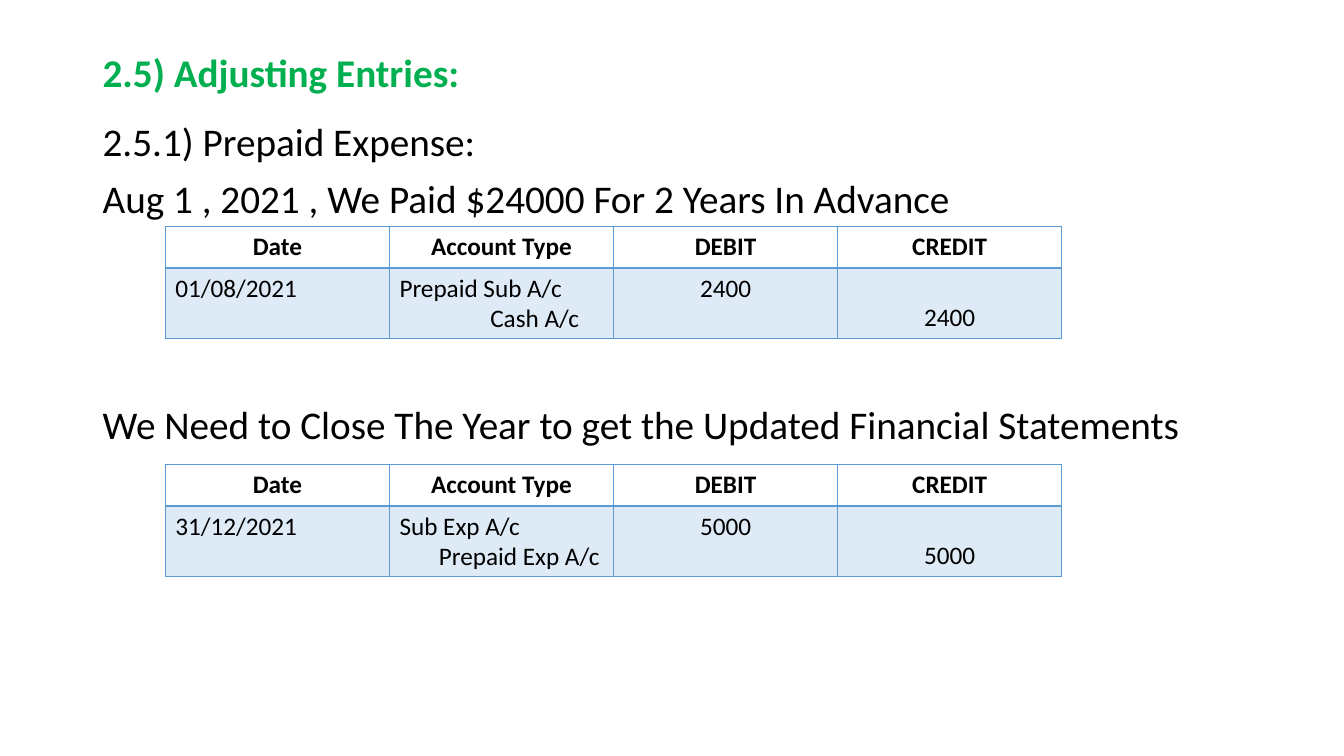
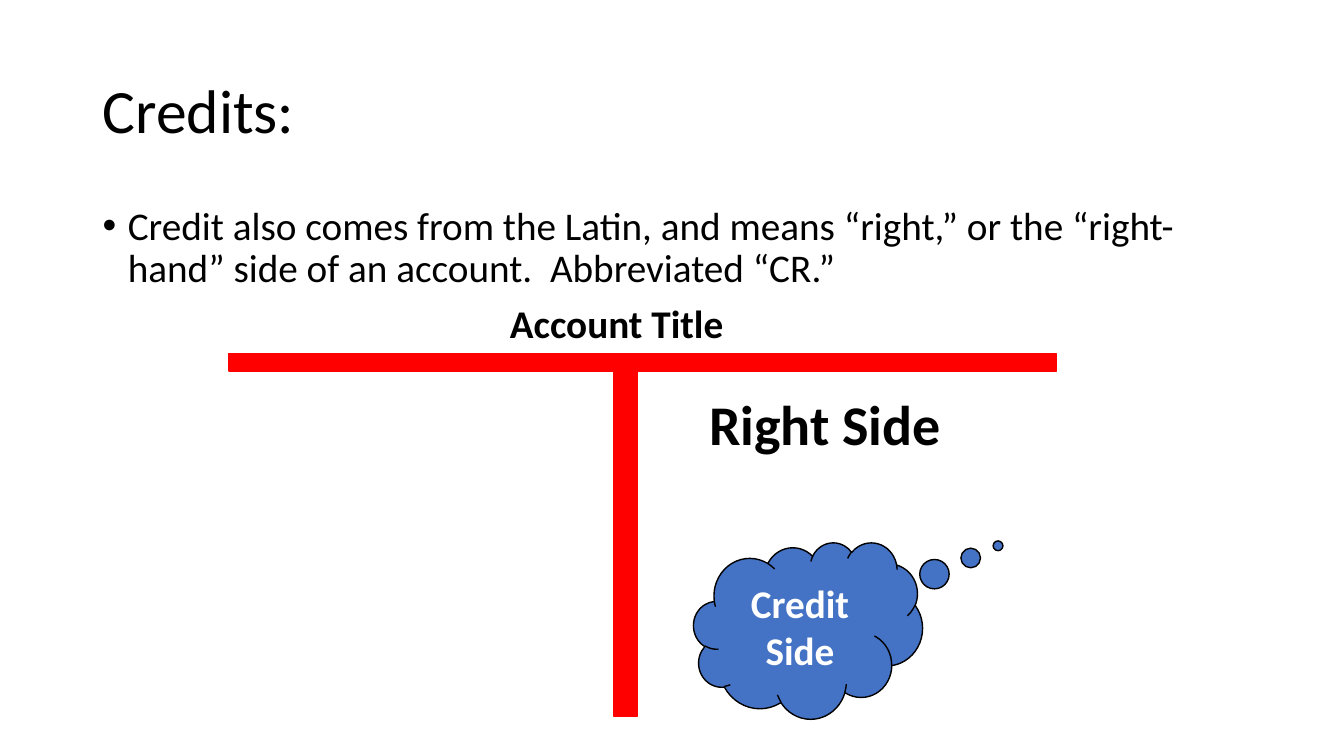
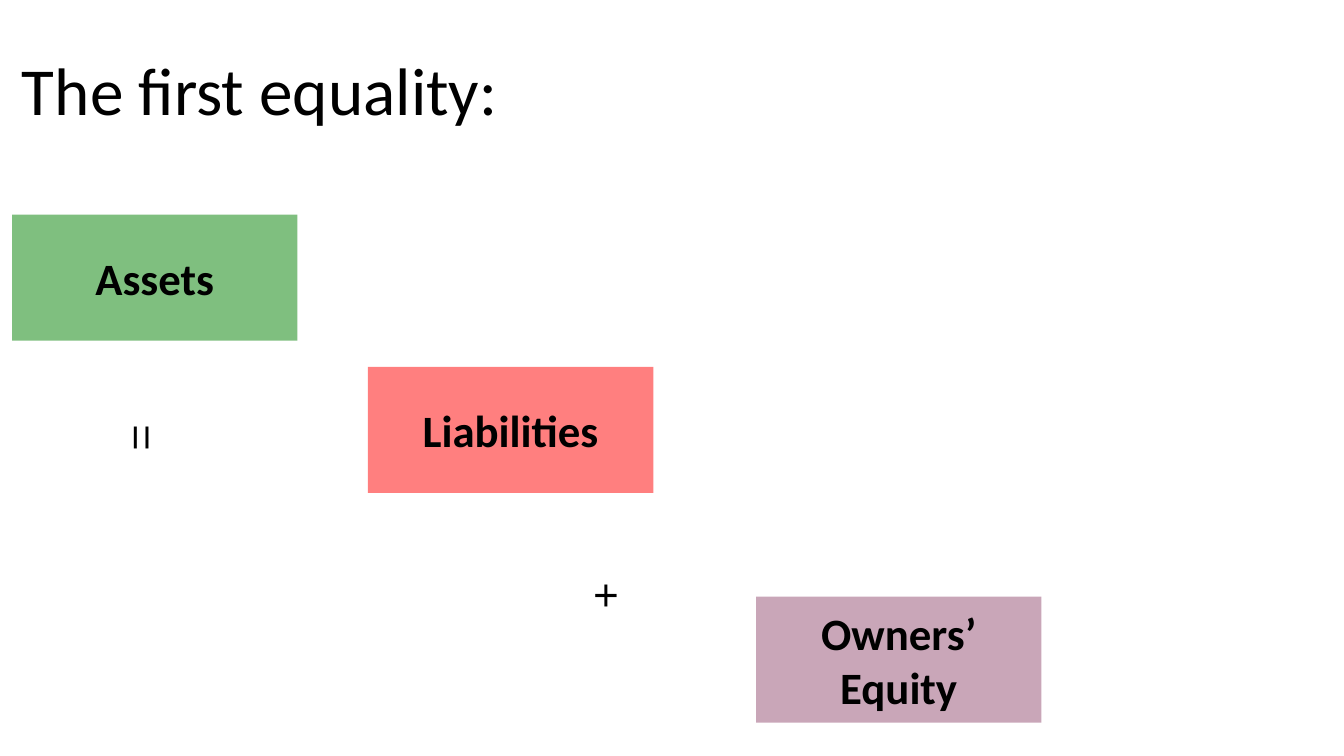
from lxml import etree
from pptx import Presentation
from pptx.dml.color import RGBColor
from pptx.enum.shapes import MSO_SHAPE
from pptx.enum.text import MSO_ANCHOR, PP_ALIGN
from pptx.oxml.ns import qn
from pptx.util import Inches, Pt

LEFT, CENTER, RIGHT = PP_ALIGN.LEFT, PP_ALIGN.CENTER, PP_ALIGN.RIGHT
TOP, MIDDLE, BOTTOM = MSO_ANCHOR.TOP, MSO_ANCHOR.MIDDLE, MSO_ANCHOR.BOTTOM
RECTANGLE, CLOUD = MSO_SHAPE.RECTANGLE, MSO_SHAPE.CLOUD_CALLOUT

BLACK = RGBColor(0x00, 0x00, 0x00)
WHITE = RGBColor(0xFF, 0xFF, 0xFF)
RED = RGBColor(0xFF, 0x00, 0x00)
GREEN = RGBColor(0x00, 0x80, 0x00)
HEADING_GREEN = RGBColor(0x00, 0xB0, 0x50)
PLUM = RGBColor(0x95, 0x4F, 0x72)
CLOUD_BLUE = RGBColor(0x44, 0x72, 0xC4)
TABLE_BLUE = RGBColor(0x5B, 0x9B, 0xD5)

BODY_FONT, SYMBOL_FONT = "Calibri", "Montserrat"
MARGIN, CONTENT_WIDTH = 0.92, 11.5
TITLE_HEIGHT = 1.45
HEADERS = ("Date", "Account Type", "DEBIT", "CREDIT")


def add_child(parent, tag, **attributes):
    return etree.SubElement(parent, qn(tag), attributes)


def write_text(frame, text, size=28, color=BLACK, bold=False, font=BODY_FONT,
               align=LEFT, spacing=1.0, space_before=0, bullet=False, last_indent=0):
    """Write one paragraph per line; last_indent (inches) moves the last one."""
    lines = text.split("\n")
    for index, line in enumerate(lines):
        paragraph = frame.add_paragraph() if index else frame.paragraphs[0]
        properties = paragraph._p.get_or_add_pPr()
        if bullet:
            properties.set("marL", str(Inches(0.25)))
            properties.set("indent", str(-Inches(0.25)))
            add_child(properties, "a:buFont", typeface="Arial")
            add_child(properties, "a:buChar", char="•")
        if last_indent and index == len(lines) - 1:
            properties.set("marL", str(Inches(last_indent)))
        paragraph.alignment = align
        paragraph.line_spacing = spacing
        if index and space_before:
            paragraph.space_before = Pt(space_before)
        run = paragraph.add_run()
        run.text = line
        run.font.size, run.font.name, run.font.bold = Pt(size), font, bold
        run.font.color.rgb = color


def fill_solid(fill, color, opacity=100):
    fill.solid()
    fill.fore_color.rgb = color
    if opacity < 100:
        color_element = fill._xPr.find(qn("a:solidFill"))[0]
        add_child(color_element, "a:alpha", val=str(opacity * 1000))


def set_borders(cell, **widths):
    """Draw cell borders; widths are points keyed by side letter."""
    properties = cell._tc.get_or_add_tcPr()
    for side in "LRTB":
        line = add_child(properties, f"a:ln{side}", w=str(Pt(widths.get(side, 1))))
        add_child(add_child(line, "a:solidFill"), "a:srgbClr", val=str(TABLE_BLUE))


class Deck:
    def __init__(self):
        self.presentation = Presentation()
        self.presentation.slide_width = Inches(13.33)
        self.presentation.slide_height = Inches(7.5)
        self.slide = None

    def new_slide(self):
        layout = self.presentation.slide_layouts[6]
        self.slide = self.presentation.slides.add_slide(layout)

    def text(self, box, text, anchor=TOP, wrap=True, **style):
        shape = self.slide.shapes.add_textbox(*map(Inches, box))
        shape.text_frame.word_wrap = wrap
        shape.text_frame.vertical_anchor = anchor
        write_text(shape.text_frame, text, **style)
        return shape

    def title(self, text, top, **style):
        box = (MARGIN, top, CONTENT_WIDTH, TITLE_HEIGHT)
        self.text(box, text, anchor=MIDDLE, spacing=0.9, **style)

    def body(self, top, text, left=MARGIN, width=CONTENT_WIDTH, height=1.1, **style):
        self.text((left, top, width, height), text, spacing=0.9, space_before=10, **style)

    def shape(self, kind, box, fill, opacity=100, line=None, text="", wrap=True, **style):
        shape = self.slide.shapes.add_shape(kind, *map(Inches, box))
        shape.shadow.inherit = False
        fill_solid(shape.fill, fill, opacity)
        if line is None:
            shape.line.fill.background()
        else:
            shape.line.color.rgb = line
            shape.line.width = Pt(1)
        if text:
            shape.text_frame.word_wrap = wrap
            shape.text_frame.vertical_anchor = MIDDLE
            write_text(shape.text_frame, text, bold=True, align=CENTER, **style)
        return shape

    def symbol(self, box, text):
        """Add an operator turned a quarter, with stacked letters."""
        shape = self.text(box, text, wrap=False, size=36, font=SYMBOL_FONT, align=CENTER)
        shape.rotation = 90
        shape.text_frame._txBody.bodyPr.set("vert", "wordArtVert")

    def journal(self, top, date, accounts, amount, credit_indent):
        """Add a journal entry table with one debit and one credit line."""
        row_heights = (0.41, 0.7)
        box = (1.64, top, 8.89, sum(row_heights))
        table = self.slide.shapes.add_table(2, len(HEADERS), *map(Inches, box)).table
        table.first_row = table.horz_banding = False
        for row, height in zip(table.rows, row_heights):
            row.height = Inches(height)
        for column, header in enumerate(HEADERS):
            cell = table.cell(0, column)
            set_borders(cell, B=2)
            cell.fill.background()
            write_text(cell.text_frame, header, size=18, bold=True, align=CENTER)
        entries = ((date, LEFT, TOP, 0), (accounts, LEFT, TOP, credit_indent),
                   (amount, CENTER, TOP, 0), (amount, CENTER, BOTTOM, 0))
        for column, (text, align, anchor, indent) in enumerate(entries):
            cell = table.cell(1, column)
            set_borders(cell, T=2)
            fill_solid(cell.fill, TABLE_BLUE, opacity=20)
            cell.vertical_anchor = anchor
            write_text(cell.text_frame, text, size=18, align=align, last_indent=indent)


def adjusting_entries(deck):
    deck.new_slide()
    deck.title("2.5) Adjusting Entries:", 0.02, color=HEADING_GREEN, bold=True)
    deck.body(1.17, "2.5.1) Prepaid Expense:\n"
                    "Aug 1 , 2021 , We Paid $24000 For 2 Years In Advance", width=12.2)
    deck.body(3.97, "We Need to Close The Year to get the Updated Financial Statements",
              width=12.2, height=0.55)
    deck.journal(2.25, "01/08/2021", "Prepaid Sub A/c\nCash A/c", "2400", 0.9)
    deck.journal(4.61, "31/12/2021", "Sub Exp A/c\nPrepaid Exp A/c", "5000", 0.39)


def credits(deck):
    deck.new_slide()
    deck.title("Credits:", 0.4, size=44)
    deck.body(2, "Credit also comes from the Latin, and means “right,” or the "
                 "“right-hand” side of an account.  Abbreviated “CR.”", bullet=True, height=0.95)
    deck.body(2.97, "Account Title", left=4.96, width=2.5, height=0.5, bold=True)
    for bar in ((2.27, 3.51, 8.21, 0.17), (6.09, 3.68, 0.23, 3.43)):
        deck.shape(RECTANGLE, bar, RED, line=RED)
    cloud = deck.shape(CLOUD, (6.88, 5.38, 2.27, 1.75), CLOUD_BLUE, line=BLACK,
                       text="Credit Side", color=WHITE)
    cloud.adjustments[0], cloud.adjustments[1] = 0.83, -0.48
    deck.text((6.34, 3.82, 3.09, 0.77), "Right Side", size=40, bold=True, align=RIGHT)


def first_equality(deck):
    deck.new_slide()
    blocks = ((0.12, 2.13, GREEN, "Assets", False),
              (3.65, 3.64, RED, "Liabilities", False),
              (7.5, 5.92, PLUM, "Owners’ Equity", True))
    for left, top, fill, text, wrap in blocks:
        deck.shape(RECTANGLE, (left, top, 2.83, 1.25), fill, opacity=50,
                   text=text, wrap=wrap, size=32)
    deck.symbol((1.26, 3.91, 0.33, 0.71), "=")
    deck.symbol((5.7, 5.6, 0.67, 0.62), "+")
    deck.text((0.12, 0.43, 6.67, 0.91), "The first equality:", size=48)


def main():
    deck = Deck()
    adjusting_entries(deck)
    credits(deck)
    first_equality(deck)
    deck.presentation.save("out.pptx")


if __name__ == "__main__":
    main()
